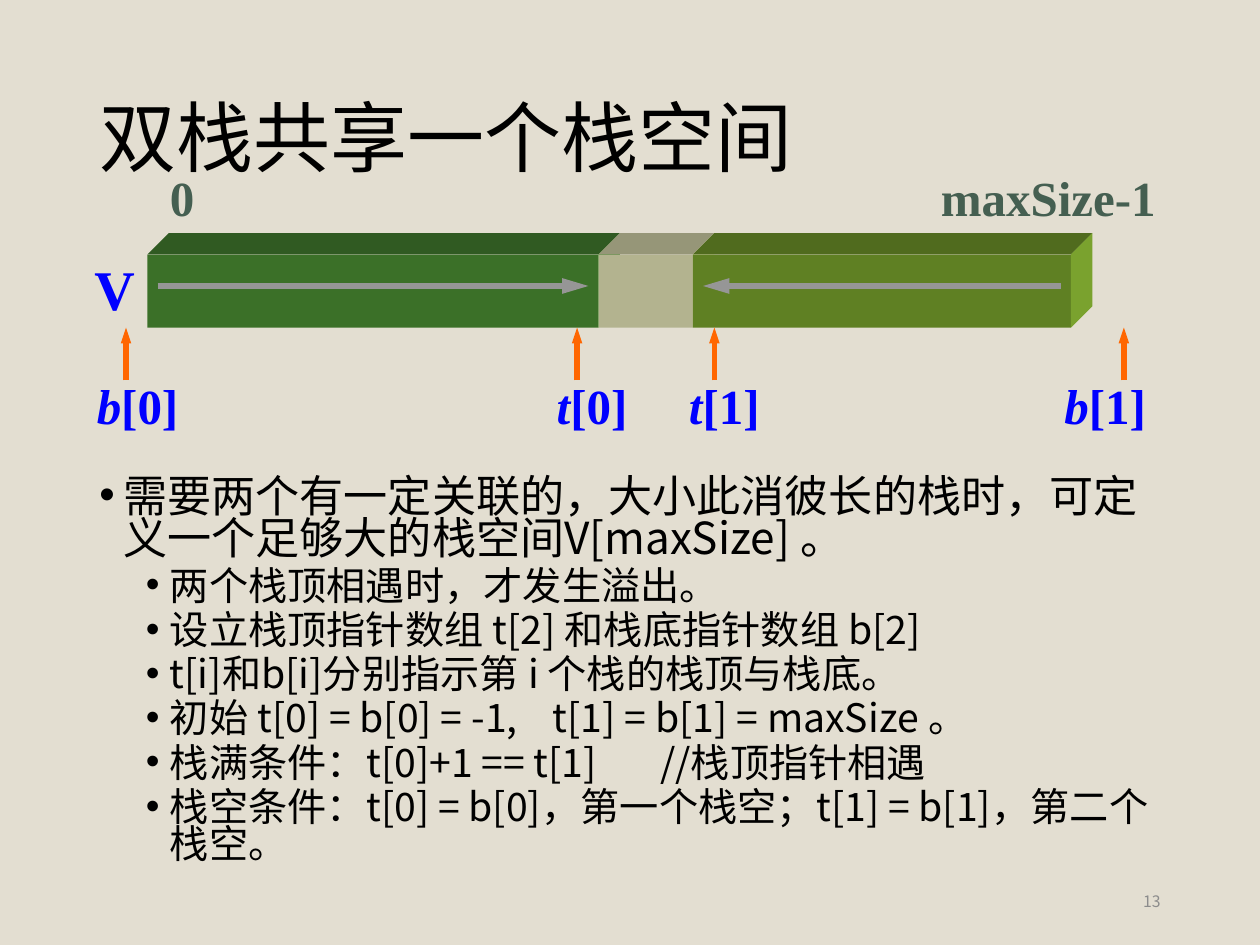
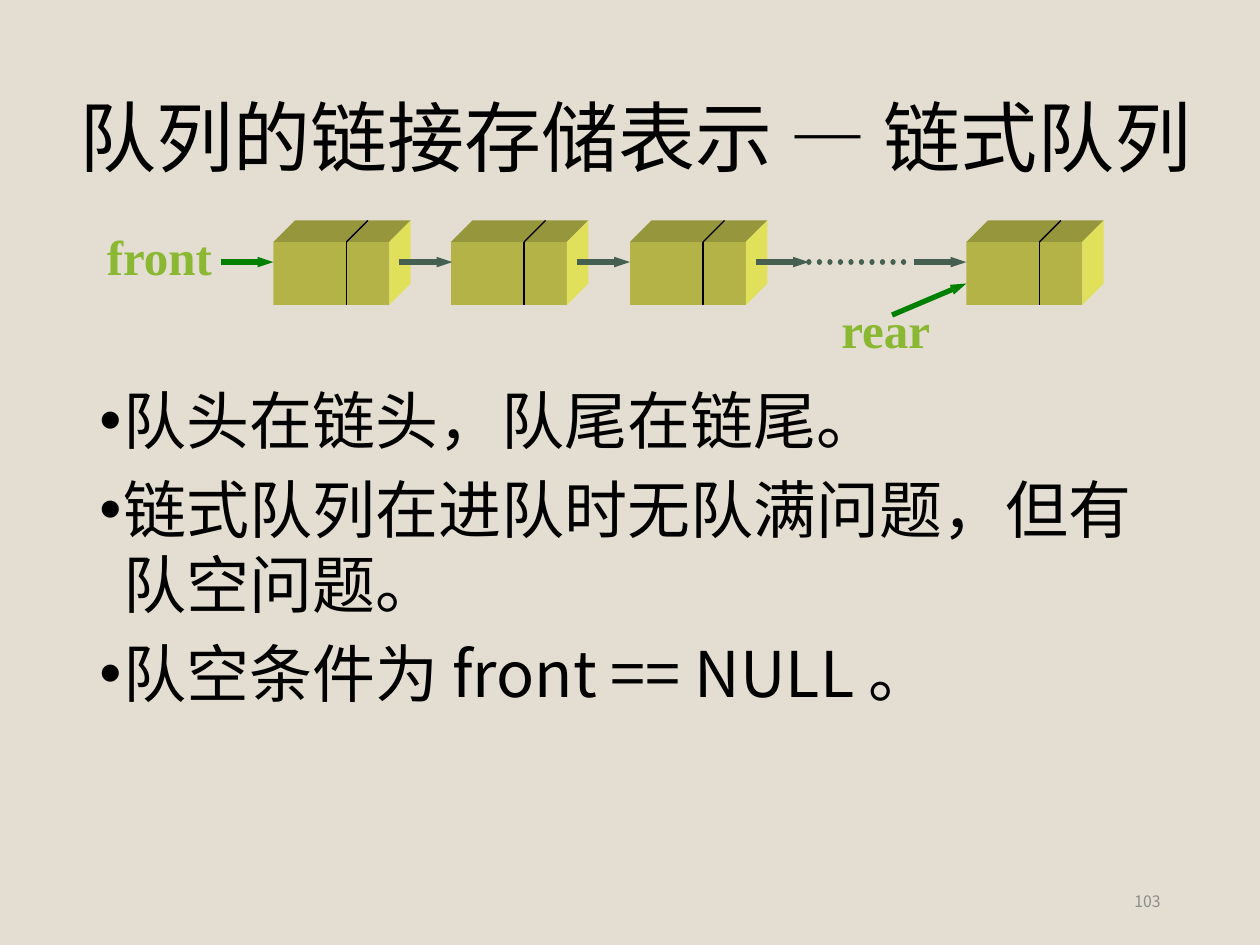
from pptx import Presentation
from pptx import util as u
from pptx.dml.color import RGBColor
from pptx.enum import dml, shapes, text
from pptx.oxml.ns import qn
from lxml import etree

SANS, SERIF = "Noto Sans CJK SC", "Times New Roman"
PAPER, BLACK, GREY = "E3DED1", "000000", "8C8C8C"
BLUE, SLATE, LIME = "0000FF", "455F51", "8AB833"
ORANGE, SILVER, GREEN = "FF6600", "969696", "008000"
DEPTH = 0.17


def rgb(code):
    return RGBColor.from_string(code)


def inch(*nums):
    return [u.Inches(n) for n in nums]


def add(parent, tag, **attrs):
    node = etree.SubElement(parent, qn(tag))
    for key, val in attrs.items():
        node.set(key, str(val))
    return node


class Deck:
    def __init__(self):
        self.prs = Presentation()
        self.prs.slide_width, self.prs.slide_height = inch(10, 7.5)
        fill = self.prs.slide_master.background.fill
        fill.solid()
        fill.fore_color.rgb = rgb(PAPER)

    def page(self, title, num, x=0.69, w=8.62):
        """Start a slide with its title and page number."""
        self.slide = self.prs.slides.add_slide(self.prs.slide_layouts[5])
        self.items = self.slide.shapes
        head = self.items.title
        head.left, head.top, head.width, head.height = inch(x, 0.4, w, 1.45)
        frame = head.text_frame
        frame.text = title
        frame.word_wrap = True
        frame.auto_size = text.MSO_AUTO_SIZE.NONE
        frame.vertical_anchor = text.MSO_ANCHOR.MIDDLE
        para = frame.paragraphs[0]
        para.alignment = text.PP_ALIGN.LEFT
        para.line_spacing = 0.9
        self.font(para, 44, BLACK)
        foot = self.frame(7.06, 6.95, 2.25, 0.4)
        foot.vertical_anchor = text.MSO_ANCHOR.MIDDLE
        para = foot.paragraphs[0]
        para.text = str(num)
        para.alignment = text.PP_ALIGN.RIGHT
        self.font(para, 9, GREY)

    def font(self, para, size, color, name=SANS, bold=False):
        font = para.font
        font.size, font.bold, font.name = u.Pt(size), bold, name
        font.color.rgb = rgb(color)
        add(para._p.pPr.find(qn("a:defRPr")), "a:ea", typeface=name)

    def frame(self, x, y, w, h, wrap=True):
        frame = self.items.add_textbox(*inch(x, y, w, h)).text_frame
        frame.word_wrap = wrap
        return frame

    def label(self, words, x, y, w, color, size=28, lean=""):
        """Bold serif label, with an italic start if lean is given."""
        para = self.frame(x, y, w, 0.57, False).paragraphs[0]
        if lean:
            run = para.add_run()
            run.text, run.font.italic = lean, True
        para.add_run().text = words
        self.font(para, size, color, SERIF, True)

    def body(self, y, h, rows, sizes, space=1.0):
        """Bullets from rows of (level, words, tab stop)."""
        frame = self.frame(0.69, y, 8.62, h)
        for i, (lvl, words, tab) in enumerate(rows):
            para = frame.add_paragraph() if i else frame.paragraphs[0]
            para.text = words
            para.level = lvl
            para.line_spacing = space
            if i:
                para.space_before = u.Pt((7.5, 3.8)[lvl])
            prop = para._p.get_or_add_pPr()
            prop.set("marL", str(u.Inches((0.19, 0.56)[lvl])))
            prop.set("indent", str(u.Inches(-0.19)))
            add(prop, "a:buFont", typeface="Arial")
            add(prop, "a:buChar", char="•")
            if tab:
                stops = add(prop, "a:tabLst")
                add(stops, "a:tab", pos=u.Inches(tab), algn="l")
            self.font(para, sizes[lvl], BLACK)

    def line(self, x1, y1, x2, y2, color, width=3, tip=None, dots=False):
        """Line; tip is the (width, length) of an arrowhead at its end."""
        line = self.items.add_connector(
            shapes.MSO_CONNECTOR.STRAIGHT, *inch(x1, y1, x2, y2))
        line.line.color.rgb = rgb(color)
        line.line.width = u.Pt(width)
        edge = line._element.spPr.find(qn("a:ln"))
        if dots:
            line.line.dash_style = dml.MSO_LINE.ROUND_DOT
            edge.set("cap", "rnd")
        if tip:
            add(edge, "a:tailEnd", type="triangle", w=tip[0], len=tip[1])
        add(line._element.spPr, "a:effectLst")

    def paint(self, shape, color):
        shape.shadow.inherit = False
        shape.fill.solid()
        shape.fill.fore_color.rgb = rgb(color)
        shape.line.fill.background()

    def face(self, pts, color):
        pts = [inch(*pt) for pt in pts]
        build = self.items.build_freeform(*pts[0])
        build.add_line_segments(pts[1:], close=True)
        self.paint(build.convert_to_shape(), color)

    def block(self, x, y, w, h, front, top, side):
        """Solid bar: front face, then its top and right faces."""
        r, b, d = x + w, y + h, DEPTH
        rect = self.items.add_shape(
            shapes.MSO_SHAPE.RECTANGLE, *inch(x, y, w, h))
        self.paint(rect, front)
        self.face([(x, y), (x + d, y - d), (r + d, y - d), (r, y)], top)
        self.face([(r, y), (r + d, y - d), (r + d, b - d), (r, b)], side)


def stacks(deck):
    deck.page("双栈共享一个栈空间", 13)

    # Shared space: first stack, free part, second stack
    x = 1.17
    for w, *tones in ((3.58, "3B7028", "305A22", "4B8C33"),
                      (0.75, "B3B38F", "969678", "E0E0B3"),
                      (3, "5F8023", "506B1E", "7AA22E")):
        deck.block(x, 2.02, w, 0.58, *tones)
        x += w
    for start, end in ((1.25, 4.67), (8.42, 5.58)):
        deck.line(start, 2.27, end, 2.27, SILVER, tip=("med", "lg"))

    # Index labels and pointers
    deck.label("0", 1.25, 1.28, 0.5, SLATE)
    deck.label("maxSize-1", 7.37, 1.28, 2.3, SLATE)
    deck.label("V", 0.65, 1.97, 0.52, BLUE, 32)
    for name, i, left, x in (("b", 0, 0.67, 1), ("t", 0, 4.32, 4.58),
                             ("t", 1, 5.37, 5.67), ("b", 1, 8.35, 8.92)):
        deck.label(f"[{i}]", left, 2.93, 1, BLUE, lean=name)
        deck.line(x, 3.02, x, 2.6, ORANGE, tip=("sm", "med"))

    # Notes on the two stacks
    deck.body(3.75, 3.2, [
        (0, "需要两个有一定关联的，大小此消彼长的栈时，可定义一个足够大的栈空间V[maxSize] 。", 0),
        (1, "两个栈顶相遇时，才发生溢出。", 0),
        (1, "设立栈顶指针数组 t[2] 和栈底指针数组 b[2]", 0),
        (1, "t[i]和b[i]分别指示第 i 个栈的栈顶与栈底。", 0),
        (1, "初始 t[0] = b[0] = -1,\tt[1] = b[1] = maxSize 。", 3.6),
        (1, "栈满条件：t[0]+1 == t[1]\t//栈顶指针相遇", 4.45),
        (1, "栈空条件：t[0] = b[0]，第一个栈空；t[1] = b[1]，第二个栈空。", 0),
    ], (25.2, 22.4), 0.8)


def queue(deck):
    deck.page("队列的链接存储表示 — 链式队列", 103, 0.53, 9.11)
    tip = ("sm", "med")

    # Nodes, each split into data and link
    top, mid = 1.92, 2.08
    for x in (2.17, 3.58, 5, 7.67):
        deck.block(x, top, 0.92, 0.5, "B3B347", "96963C", "E0E05A")
        cut = x + 0.58
        deck.line(cut, top, cut, top + 0.5, BLACK, 0.75)
        deck.line(cut, top, cut + DEPTH, top - DEPTH, BLACK, 0.75)

    # Links between the nodes
    for x in (3.17, 4.58, 6, 7.25):
        deck.line(x, mid, x + 0.42, mid, SLATE, tip=tip)
    deck.line(6.42, mid, 7.25, mid, SLATE, dots=True)

    # Ends of the queue
    deck.label("front", 0.75, 1.75, 1.2, LIME)
    deck.line(1.75, mid, 2.17, mid, GREEN, tip=tip)
    deck.label("rear", 6.58, 2.33, 1.1, LIME)
    deck.line(7.08, 2.5, 7.67, 2.25, GREEN, tip=tip)

    # Notes on the queue
    deck.body(2.98, 3.77, [
        (0, "队头在链头，队尾在链尾。", 0),
        (0, "链式队列在进队时无队满问题，但有队空问题。", 0),
        (0, "队空条件为 front == NULL 。", 0),
    ], (36,))


def main():
    deck = Deck()
    stacks(deck)
    queue(deck)
    deck.prs.save("out.pptx")


if __name__ == "__main__":
    main()
